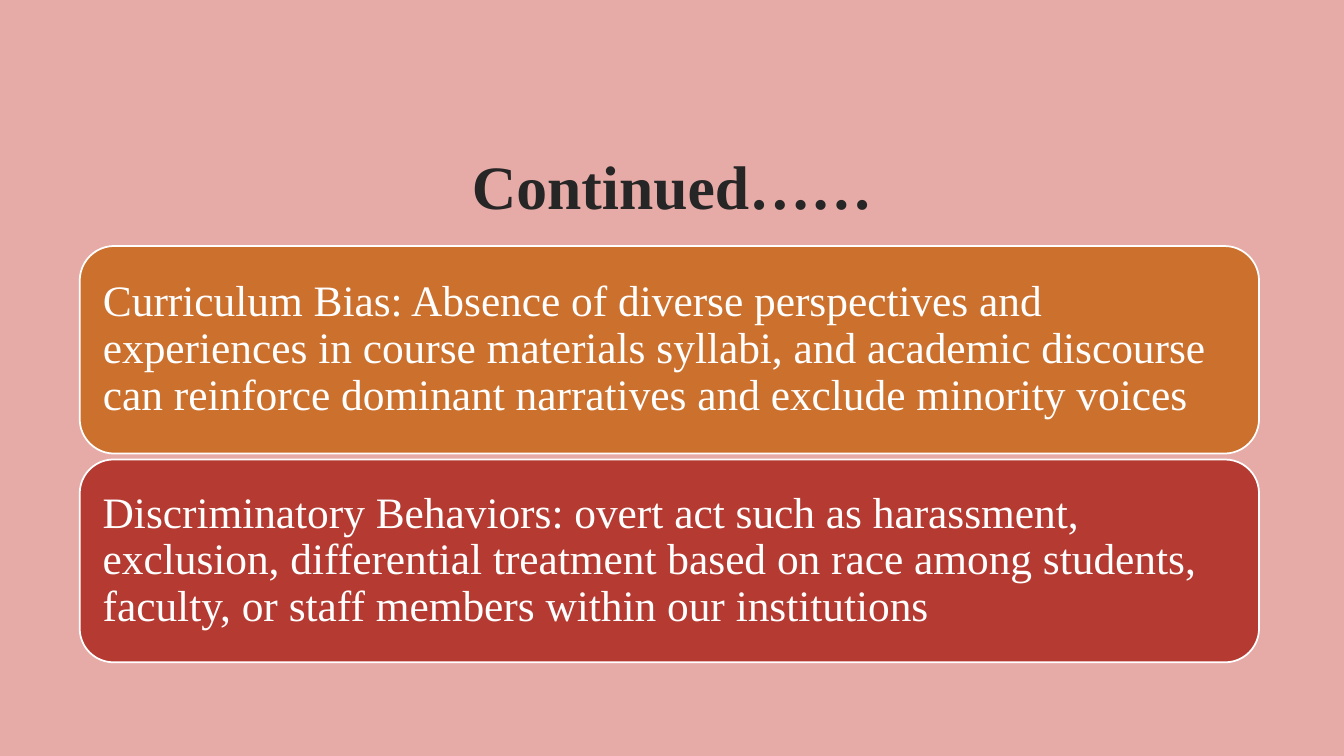
from dataclasses import dataclass

import pptx
import pptx.dml.color
import pptx.enum.shapes
import pptx.enum.text
import pptx.util

Cm = pptx.util.Cm
Pt = pptx.util.Pt

FONT = "Times New Roman"
COLORS = {
    "background": "E7ABA7",
    "title": "262626",
    "curriculum": "CC702D",
    "behaviors": "B53A31",
    "white": "FFFFFF",
}
CARD_LEFT = 2.01
CARD_WIDTH = 29.72
CARD_INSET = 0.33


@dataclass
class Card:
    top: float
    height: float
    color: str
    text: str


CARDS = [
    Card(
        6.2, 5.23, "curriculum",
        "Curriculum Bias: Absence of diverse perspectives and experiences in course "
        "materials syllabi, and academic discourse can reinforce dominant narratives "
        "and exclude minority voices",
    ),
    Card(
        11.58, 5.11, "behaviors",
        "Discriminatory Behaviors: overt act such as harassment, exclusion, differential "
        "treatment based on race among students, faculty, or staff members within our "
        "institutions",
    ),
]


def rgb(name: str) -> pptx.dml.color.RGBColor:
    return pptx.dml.color.RGBColor.from_string(COLORS[name])


def write(frame, text: str, size: float, color: str, alignment):
    frame.word_wrap = True
    frame.vertical_anchor = pptx.enum.text.MSO_ANCHOR.MIDDLE
    paragraph = frame.paragraphs[0]
    paragraph.text = text
    paragraph.alignment = alignment
    paragraph.font.name = FONT
    paragraph.font.size = Pt(size)
    paragraph.font.color.rgb = rgb(color)
    return paragraph


def draw_title(slide) -> None:
    title = slide.shapes.add_textbox(Cm(3.61), Cm(2.72), Cm(26.67), Cm(3.63))
    title.text_frame.margin_top = Cm(0.38)
    heading = write(title.text_frame, "Continued……", 44, "title",
                    pptx.enum.text.PP_ALIGN.CENTER)
    heading.font.bold = True


def draw_card(slide, card: Card) -> None:
    panel = slide.shapes.add_shape(
        pptx.enum.shapes.MSO_SHAPE.ROUNDED_RECTANGLE,
        Cm(CARD_LEFT), Cm(card.top), Cm(CARD_WIDTH), Cm(card.height),
    )
    panel.shadow.inherit = False
    panel.fill.solid()
    panel.fill.fore_color.rgb = rgb(card.color)
    panel.line.color.rgb = rgb("white")
    panel.line.width = Pt(1.25)
    frame = panel.text_frame
    frame.margin_left = frame.margin_right = Cm(CARD_INSET)
    frame.margin_top = frame.margin_bottom = Cm(CARD_INSET)
    statement = write(frame, card.text, 31, "white", pptx.enum.text.PP_ALIGN.LEFT)
    statement.line_spacing = 0.9


def main() -> None:
    presentation = pptx.Presentation()
    presentation.slide_width = Cm(33.87)
    presentation.slide_height = Cm(19.05)
    slide = presentation.slides.add_slide(presentation.slide_layouts[6])
    slide.background.fill.solid()
    slide.background.fill.fore_color.rgb = rgb("background")
    draw_title(slide)
    for card in CARDS:
        draw_card(slide, card)
    presentation.save("out.pptx")


if __name__ == "__main__":
    main()
